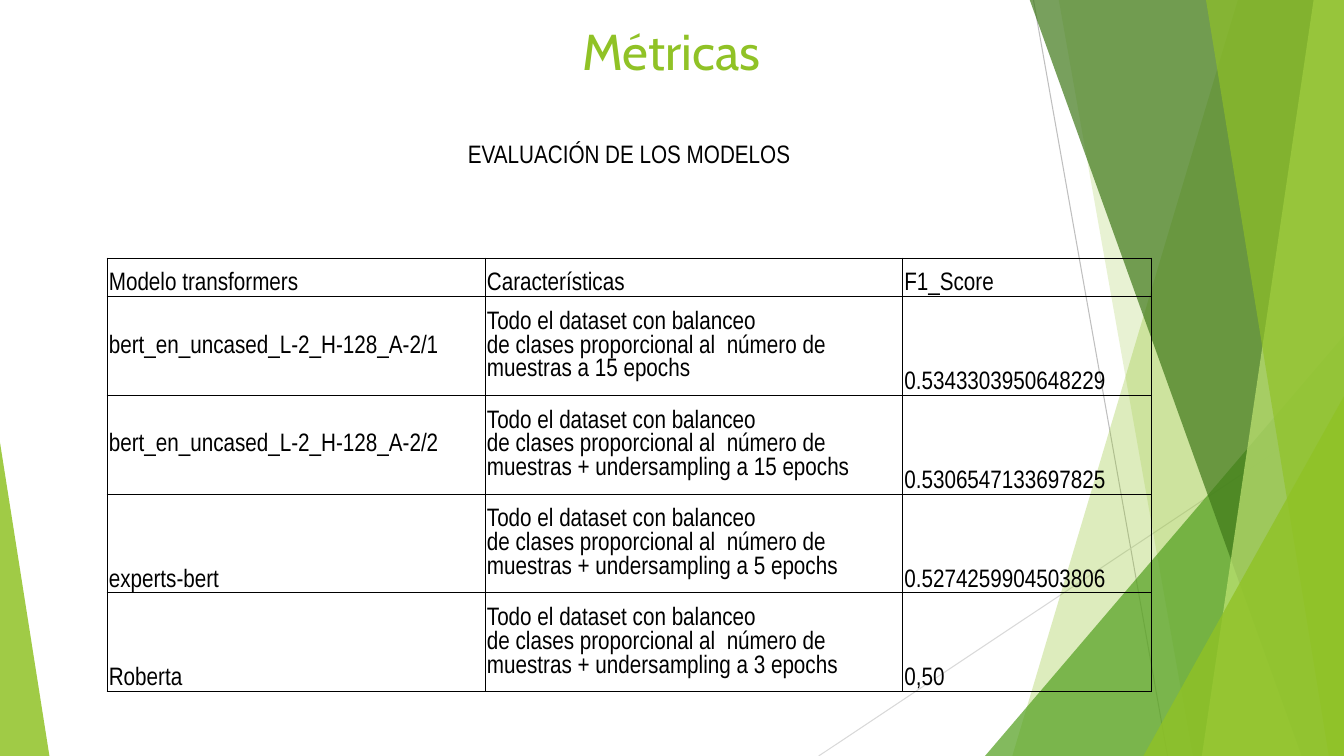
from dataclasses import dataclass

from lxml.etree import SubElement
from pptx import Presentation
from pptx.dml.color import RGBColor
from pptx.enum.shapes import MSO_CONNECTOR as Link, MSO_SHAPE as Form
from pptx.enum.text import MSO_ANCHOR as Anchor, PP_ALIGN as Align
from pptx.oxml.ns import qn
from pptx.util import Inches, Pt

LIME = RGBColor(0x90, 0xC2, 0x26)
GREEN = RGBColor(0x54, 0xA0, 0x21)
DARK = RGBColor(0x3F, 0x78, 0x19)
PALE = RGBColor(0xC0, 0xE4, 0x74)
GRAY = RGBColor(0xBF, 0xBF, 0xBF)
MIST = RGBColor(0xD9, 0xD9, 0xD9)
BLACK = RGBColor(0, 0, 0)
WIDE, HIGH = 13.33, 7.5


@dataclass
class Ray:
    start: tuple[float, float]
    end: tuple[float, float]
    color: RGBColor


@dataclass
class Band:
    top: float
    foot: float
    color: RGBColor
    alpha: int


@dataclass
class Wedge:
    left: float
    top: float
    width: float
    tip: float
    color: RGBColor
    alpha: int


@dataclass
class Model:
    name: str
    trait: str
    score: str
    anchor: Anchor


ART = [
    Ray((10.25, 0), (11.58, HIGH), GRAY),
    Ray((WIDE, 4.03), (8.12, HIGH), MIST),
    Band(12.28, 10.04, LIME, 30),
    Band(10.5, 11.83, LIME, 20),
    Wedge(9.77, 3.33, 3.56, 1, GREEN, 72),
    Band(10.21, 12.91, DARK, 70),
    Band(13.03, 11.92, PALE, 70),
    Band(11.96, 13.18, LIME, 65),
    Wedge(11.34, 3.93, 1.99, 1, LIME, 80),
    Wedge(0, 4.39, 0.49, 0, LIME, 85),
]
HEADS = ["Modelo transformers", "Características", "F1_Score"]
TRAIT = "Todo el dataset con balanceo\nde clases proporcional al  número de \nmuestras "
MODELS = [
    Model("bert_en_uncased_L-2_H-128_A-2/1", "a 15 epochs", "0.5343303950648229", Anchor.MIDDLE),
    Model("bert_en_uncased_L-2_H-128_A-2/2", "+ undersampling a 15 epochs", "0.5306547133697825", Anchor.MIDDLE),
    Model("experts-bert", "+ undersampling a 5 epochs", "0.5274259904503806", Anchor.BOTTOM),
    Model("Roberta", "+ undersampling a 3 epochs", "0,50", Anchor.BOTTOM),
]
COLS = [3.75, 4.14, 2.47]
ROWS = [0.53, 0.67, 0.38] + [0.98] * len(MODELS)


def write(frame, text: str, *, size: float = 18, face: str = "Arial Narrow",
          color: RGBColor = BLACK, align: Align = Align.LEFT) -> None:
    para = frame.paragraphs[0]
    para.alignment = align
    for i, line in enumerate(text.split("\n")):
        if i:
            para.add_line_break()
        run = para.add_run()
        run.text = line
        run.font.size = Pt(size)
        run.font.name = face
        run.font.color.rgb = color


def paint(shape, color: RGBColor, alpha: int) -> None:
    shape.shadow.inherit = False
    shape.line.fill.background()
    shape.fill.solid()
    shape.fill.fore_color.rgb = color
    tint = shape._element.spPr.find(qn("a:solidFill"))[0]
    SubElement(tint, qn("a:alpha")).set("val", str(alpha * 1000))


def draw(shapes, item: Ray | Band | Wedge) -> None:
    if isinstance(item, Ray):
        ends = [Inches(v) for v in item.start + item.end]
        line = shapes.add_connector(Link.STRAIGHT, *ends)
        line.line.color.rgb = item.color
        line.line.width = Pt(0.75)
        SubElement(line._element.spPr, qn("a:effectLst"))
        return
    if isinstance(item, Band):
        pen = shapes.build_freeform(Inches(item.top), Inches(-0.01), scale=1.0)
        spots = [(WIDE, -0.01), (WIDE, HIGH), (item.foot, HIGH)]
        pen.add_line_segments([(Inches(x), Inches(y)) for x, y in spots], close=True)
        shape = pen.convert_to_shape()
    else:
        shape = shapes.add_shape(Form.ISOSCELES_TRIANGLE, Inches(item.left), Inches(item.top),
                                 Inches(item.width), Inches(HIGH - item.top))
        shape.adjustments[0] = item.tip
    paint(shape, item.color, item.alpha)


def edge(cell, sides: str) -> None:
    props = cell._tc.get_or_add_tcPr()
    for i, side in enumerate("LRTB"):
        line = SubElement(props, qn(f"a:ln{side}"), w=str(Pt(0.5)))
        if side in sides:
            fill = SubElement(line, qn("a:solidFill"))
            SubElement(fill, qn("a:srgbClr"), val=str(BLACK))
        else:
            SubElement(line, qn("a:noFill"))
        props.remove(line)
        props.insert(i, line)


def pad(cell, side: float, top: float, foot: float) -> None:
    cell.margin_left = cell.margin_right = Inches(side)
    cell.margin_top, cell.margin_bottom = Inches(top), Inches(foot)


def fill_grid(shapes) -> None:
    grid = shapes.add_table(len(ROWS), len(COLS), Inches(1.06), Inches(1.36),
                            Inches(sum(COLS)), Inches(sum(ROWS))).table
    grid.first_row = grid.horz_banding = False
    for col, width in zip(grid.columns, COLS):
        col.width = Inches(width)
    for row, height in zip(grid.rows, ROWS):
        row.height = Inches(height)
    for r, row in enumerate(grid.rows):
        for cell in row.cells:
            cell.fill.background()
            edge(cell, ["", "B"][r] if r < 2 else "LRTB")
    head = grid.cell(0, 0)
    head.merge(grid.cell(0, len(COLS) - 1))
    pad(head, 0.16, 0.08, 0.08)
    write(head.text_frame, "EVALUACIÓN DE LOS MODELOS", align=Align.CENTER)
    low = Anchor.BOTTOM
    lines = [[(text, low) for text in HEADS]]
    lines += [[(m.name, m.anchor), (TRAIT + m.trait, Anchor.MIDDLE), (m.score, low)]
              for m in MODELS]
    for r, line in enumerate(lines, 2):
        for c, (text, anchor) in enumerate(line):
            cell = grid.cell(r, c)
            pad(cell, 0.02, 0.02, 0)
            cell.vertical_anchor = anchor
            write(cell.text_frame, text)


def main() -> None:
    deck = Presentation()
    deck.slide_width, deck.slide_height = Inches(WIDE), Inches(HIGH)
    slide = deck.slides.add_slide(deck.slide_layouts[5])
    shapes = slide.shapes
    for item in ART:
        draw(shapes, item)
    title = shapes.title
    title._element.getparent().append(title._element)
    title.left, title.top = Inches(1.72), Inches(0.15)
    title.width, title.height = Inches(9.88), Inches(2.07)
    title.text_frame.vertical_anchor = Anchor.TOP
    write(title.text_frame, "Métricas", size=36, face="Cabin", color=LIME, align=Align.CENTER)
    fill_grid(shapes)
    deck.save("out.pptx")


if __name__ == "__main__":
    main()
